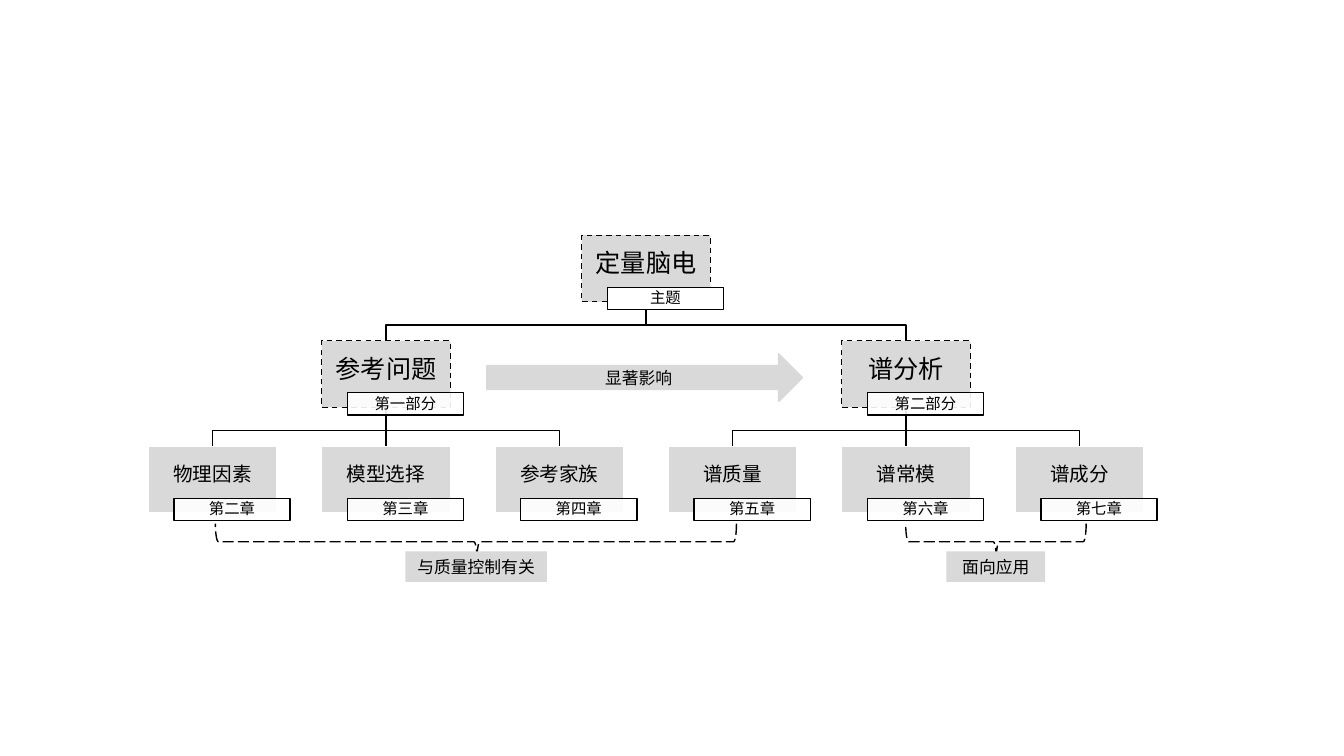
from lxml import etree
from pptx import Presentation
from pptx.dml.color import RGBColor
from pptx.enum.dml import MSO_LINE as Dash
from pptx.enum.shapes import MSO_CONNECTOR as Connector, MSO_SHAPE as Shape
from pptx.enum.text import MSO_ANCHOR as Anchor, PP_ALIGN as Align
from pptx.oxml.ns import qn
from pptx.util import Pt

BLACK = RGBColor(0x00, 0x00, 0x00)
WHITE = RGBColor(0xFF, 0xFF, 0xFF)
GREY = RGBColor(0xD9, 0xD9, 0xD9)
CJK_FONT = "Noto Sans CJK SC"
TAG_FONT = "Calibri"

# Tree grid, in points
FIRST_CENTER, COLUMN_STEP = 151.9, 123.84
FIRST_TOP, ROW_STEP = 168, 75.4
BOX_WIDTH, BOX_HEIGHT = 92, 47.6
TAG_LEFT, TAG_TOP, TAG_WIDTH, TAG_HEIGHT = 18.4, 37.2, 83, 16
BUS_DROP = 16.6
BOX_INSETS = (0.7, 0.7, 0.7, 6.5)
TAG_INSETS = (2, 0.7, 2, 0.7)
LABEL_INSETS = (7.2, 3.6, 7.2, 3.6)


class Diagram:
    """Holds the style and the current slide."""

    def __init__(self, slide):
        self.shapes = slide.shapes

    def style_line(self, line, color, dash=None):
        line.color.rgb = color
        line.width = Pt(1)
        if dash:
            line.dash_style = dash

    def shape(self, kind, left, top, width, height, fill=None, line=None, dash=None):
        shape = self.shapes.add_shape(kind, Pt(left), Pt(top), Pt(width), Pt(height))
        shape.shadow.inherit = False
        if fill is None:
            shape.fill.background()
        else:
            shape.fill.solid()
            shape.fill.fore_color.rgb = fill
        if line is None:
            shape.line.fill.background()
        else:
            self.style_line(shape.line, line, dash)
        return shape

    def add_text(self, shape, text, size, insets=LABEL_INSETS, font=CJK_FONT, spacing=1.0):
        frame = shape.text_frame
        frame.word_wrap = True
        frame.vertical_anchor = Anchor.MIDDLE
        (frame.margin_left, frame.margin_top,
         frame.margin_right, frame.margin_bottom) = map(Pt, insets)
        paragraph = frame.paragraphs[0]
        paragraph.alignment = Align.CENTER
        paragraph.line_spacing = spacing
        run = paragraph.add_run()
        run.text = text
        run.font.size = Pt(size)
        run.font.name = font
        run.font.color.rgb = BLACK
        east_asian = etree.SubElement(run._r.get_or_add_rPr(), qn("a:ea"))
        east_asian.set("typeface", CJK_FONT)

    def node(self, column, row, title, tag, size, line, dash=None):
        left, top = center_of(column) - BOX_WIDTH / 2, top_of(row)
        box = self.shape(Shape.RECTANGLE, left, top, BOX_WIDTH, BOX_HEIGHT, GREY, line, dash)
        self.add_text(box, title, size, BOX_INSETS, spacing=0.9)
        plate = self.shape(Shape.RECTANGLE, left + TAG_LEFT, top + TAG_TOP,
                           TAG_WIDTH, TAG_HEIGHT, WHITE, BLACK)
        if row:
            color = plate._element.spPr.find(qn("a:solidFill")).find(qn("a:srgbClr"))
            etree.SubElement(color, qn("a:alpha")).set("val", "90000")
        self.add_text(plate, tag, 11, TAG_INSETS, TAG_FONT, 0.9)

    def branch(self, parent_column, child_column, row):
        start_x, end_x = Pt(center_of(parent_column)), Pt(center_of(child_column))
        start_y, end_y = Pt(top_of(row) + BOX_HEIGHT), Pt(top_of(row + 1))
        if parent_column == child_column:
            link = self.shapes.add_connector(Connector.STRAIGHT, start_x, start_y, end_x, end_y)
            self.style_line(link.line, BLACK)
            etree.SubElement(link._element.spPr, qn("a:effectLst"))
        else:
            bus_y = Pt(top_of(row) + BOX_HEIGHT + BUS_DROP)
            builder = self.shapes.build_freeform(start_x, start_y)
            builder.add_line_segments(
                [(start_x, bus_y), (end_x, bus_y), (end_x, end_y)], close=False)
            link = builder.convert_to_shape()
            link.fill.background()
            link.shadow.inherit = False
            self.style_line(link.line, BLACK)

    def brace(self, center_x, span):
        depth, center_y = 25.9, 387
        brace = self.shape(Shape.LEFT_BRACE, center_x - depth / 2, center_y - span / 2,
                           depth, span, line=BLACK, dash=Dash.LONG_DASH)
        brace.rotation = 270
        brace.adjustments[0] = 0.083
        brace.adjustments[1] = 0.502

    def label(self, left, width, text):
        box = self.shape(Shape.RECTANGLE, left, 393.8, width, 21.8, GREY)
        self.add_text(box, text, 12)


def center_of(column):
    return FIRST_CENTER + column * COLUMN_STEP


def top_of(row):
    return FIRST_TOP + row * ROW_STEP


presentation = Presentation()
presentation.slide_width, presentation.slide_height = Pt(960), Pt(540)
diagram = Diagram(presentation.slides.add_slide(presentation.slide_layouts[6]))

ROOT_COLUMN = 2.5
PARTS = [
    (1, "参考问题", "第一部分",
     [("物理因素", "第二章"), ("模型选择", "第三章"), ("参考家族", "第四章")]),
    (4, "谱分析", "第二部分",
     [("谱质量", "第五章"), ("谱常模", "第六章"), ("谱成分", "第七章")]),
]

# Branches, behind the boxes
for part_column, _, _, chapters in PARTS:
    diagram.branch(ROOT_COLUMN, part_column, 0)
    for offset in range(len(chapters)):
        diagram.branch(part_column, part_column - 1 + offset, 1)

# Topic, parts and chapters
diagram.node(ROOT_COLUMN, 0, "定量脑电", "主题", 18, BLACK, Dash.DASH)
for part_column, part, part_tag, chapters in PARTS:
    diagram.node(part_column, 1, part, part_tag, 18, BLACK, Dash.DASH)
    for offset, (chapter, chapter_tag) in enumerate(chapters):
        diagram.node(part_column - 1 + offset, 2, chapter, chapter_tag, 14, WHITE)

# Influence arrow between the parts
arrow = diagram.shape(Shape.RIGHT_ARROW, 347.8, 252.7, 225.4, 34, GREY, GREY)
diagram.add_text(arrow, "显著影响", 12)

# Braces with their labels
for brace_center, span, label_left, label_width, text in [
    (340, 372.2, 289.6, 101, "与质量控制有关"),
    (711.4, 128.9, 676, 70.6, "面向应用"),
]:
    diagram.brace(brace_center, span)
    diagram.label(label_left, label_width, text)

presentation.save("out.pptx")
